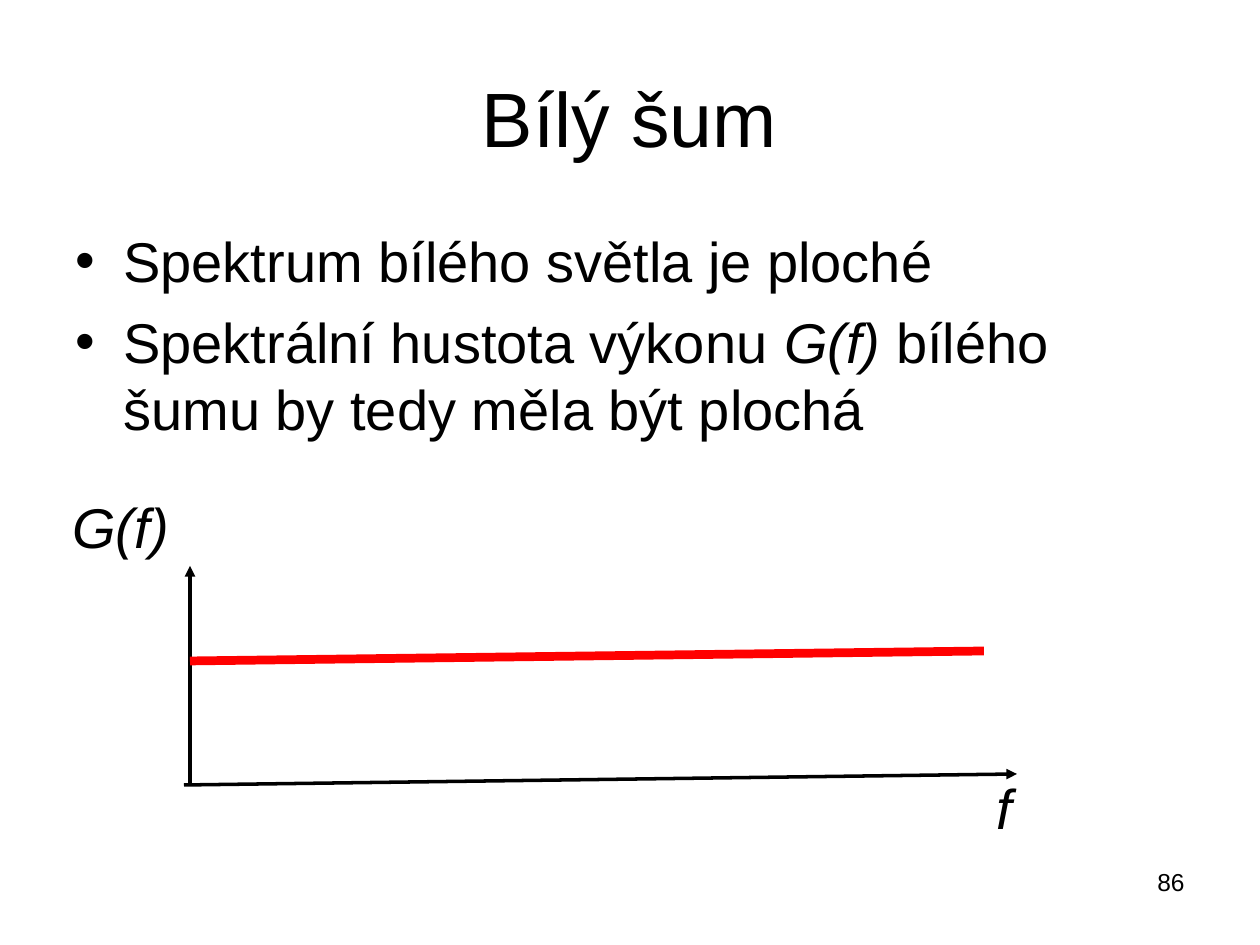
from lxml.etree import SubElement
from pptx import Presentation
from pptx.dml.color import RGBColor
from pptx.enum.shapes import MSO_CONNECTOR
from pptx.enum.text import MSO_ANCHOR, PP_ALIGN
from pptx.oxml.ns import qn
from pptx.util import Pt

PIXEL = 914400 // 126
BLACK = "000000"
RED = "FF0000"


def color(value):
    return RGBColor.from_string(value)


def write(box, paragraphs, size=32, align=PP_ALIGN.LEFT, anchor=MSO_ANCHOR.TOP,
          before=0, bullet=None, indent=0):
    frame = box.text_frame
    frame.word_wrap = True
    frame.vertical_anchor = anchor
    for index, spans in enumerate(paragraphs):
        para = frame.add_paragraph() if index else frame.paragraphs[0]
        para.alignment = align
        para.space_before = Pt(before)
        if bullet:
            properties = para._p.get_or_add_pPr()
            properties.set("marL", str(indent * PIXEL))
            properties.set("indent", str(-indent * PIXEL))
            SubElement(properties, qn("a:buFont")).set("typeface", "Arial")
            SubElement(properties, qn("a:buChar")).set("char", bullet)
        for text, italic in spans:
            span = para.add_run()
            span.text = text
            span.font.name = "Arial"
            span.font.size = Pt(size)
            span.font.italic = italic
            span.font.color.rgb = color(BLACK)


deck = Presentation()
deck.slide_width = 1260 * PIXEL
deck.slide_height = 945 * PIXEL
page = deck.slides.add_slide(deck.slide_layouts[5])

title = page.shapes.title
title.left, title.top, title.width, title.height = [
    value * PIXEL for value in (63, 38, 1133, 157)]
write(title, [[("Bílý šum", False)]], size=44, align=PP_ALIGN.CENTER,
      anchor=MSO_ANCHOR.MIDDLE)

bullets = [
    [("Spektrum bílého světla je ploché", False)],
    [("Spektrální hustota výkonu ", False), ("G(f)", True),
     (" bílého šumu by tedy měla být plochá", False)],
]
texts = [
    ((63, 220, 1134, 624), bullets, dict(before=8, bullet="•", indent=48)),
    ((903, 861, 294, 65), [[("86", False)]], dict(size=14, align=PP_ALIGN.RIGHT)),
    ((60, 486, 189, 100), [[("G(f)", True)]], dict(before=8)),
    ((984, 767, 189, 100), [[("f", True)]], dict(before=8)),
]
for place, paragraphs, style in texts:
    box = page.shapes.add_textbox(*[value * PIXEL for value in place])
    write(box, paragraphs, **style)

lines = [
    ((190, 785, 190, 566), BLACK, 2, True),
    ((184, 785, 1017, 774), BLACK, 2, True),
    ((190, 661, 984, 651), RED, 5, False),
]
for ends, shade, width, arrow in lines:
    line = page.shapes.add_connector(
        MSO_CONNECTOR.STRAIGHT, *[value * PIXEL for value in ends])
    line.line.color.rgb = color(shade)
    line.line.width = Pt(width)
    if arrow:
        SubElement(line.line._get_or_add_ln(), qn("a:tailEnd")).set("type", "triangle")
    SubElement(line._element.spPr, qn("a:effectLst"))

deck.save("out.pptx")
